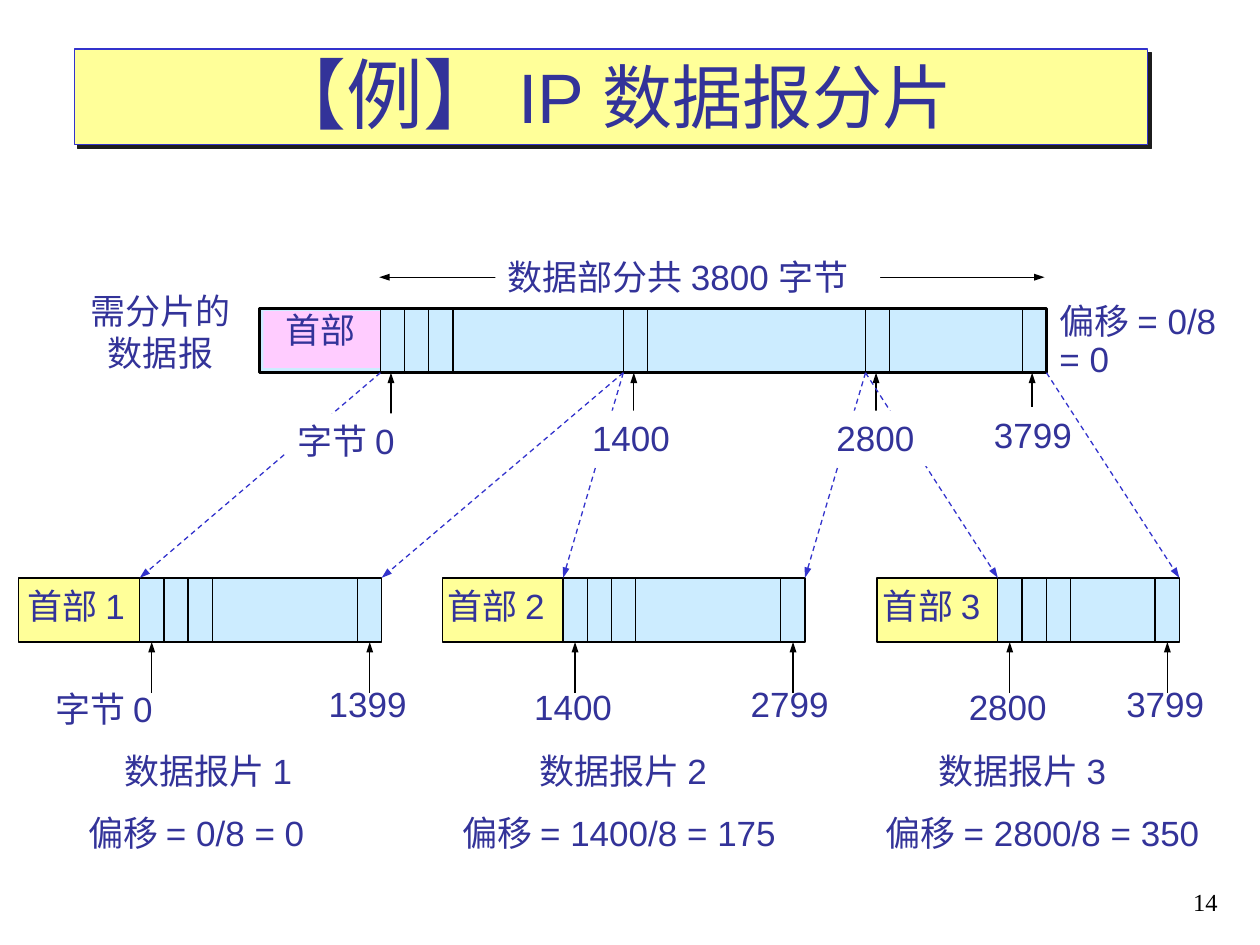
from dataclasses import dataclass

from lxml import etree
from pptx import Presentation
from pptx.dml.color import RGBColor
from pptx.enum.dml import MSO_LINE
from pptx.enum.shapes import MSO_CONNECTOR, MSO_SHAPE
from pptx.enum.text import MSO_ANCHOR, MSO_AUTO_SIZE, PP_ALIGN
from pptx.oxml.ns import qn
from pptx.util import Pt

STRAIGHT = MSO_CONNECTOR.STRAIGHT
RECTANGLE = MSO_SHAPE.RECTANGLE
DASH = MSO_LINE.DASH
BOTTOM = MSO_ANCHOR.BOTTOM
FIT_SHAPE = MSO_AUTO_SIZE.SHAPE_TO_FIT_TEXT
LEFT, CENTER, RIGHT = PP_ALIGN.LEFT, PP_ALIGN.CENTER, PP_ALIGN.RIGHT


@dataclass(frozen=True)
class Theme:
    ink: str = "333399"
    black: str = "000000"
    white: str = "FFFFFF"
    accent: str = "3333CC"
    data: str = "CCECFF"
    header: str = "FFFF99"
    original_header: str = "FFCCFF"
    shadow: str = "1C1C1C"
    font: str = "Arial"
    number_font: str = "Times New Roman"
    body_size: int = 20
    title_size: int = 40
    bracket_size: int = 44
    number_size: int = 14
    thin: float = 0.75
    thick: float = 1.5


@dataclass(frozen=True)
class Label:
    text: str
    left: float
    top: float
    width: float
    height: float = 31.7
    fill: str | None = None
    align: PP_ALIGN = LEFT
    last_line_spacing: float | None = None


@dataclass(frozen=True)
class Fragment:
    number: int
    left: float
    width: float
    source_start: float
    source_end: float
    header_label: Label
    labels: tuple[Label, ...]


THEME = Theme()
CELL = 13.8
HALF_CELL = 6.8
HEADER_WIDTH = 69.1
BAR_HEIGHT = 36.7
ORIGINAL_TOP = 176.3
ORIGINAL_BOTTOM = ORIGINAL_TOP + BAR_HEIGHT
FRAGMENT_TOP = 330.2
FRAGMENT_BOTTOM = FRAGMENT_TOP + BAR_HEIGHT
ORIGINAL_LEFT = 148.3
DATA_START, FIRST_CUT, SECOND_CUT, DATA_END = 217.4, 356.2, 494.6, 598
NUMBER_WIDTH = 60
WIDE_WIDTH = 77
PIECE_WIDTH = 120
OFFSET_WIDTH = 201
OFFSET_TOP = 460.1
PIECE_TOP = 424.8

FRAGMENTS = (
    Fragment(1, 79.9, 138.2, DATA_START, FIRST_CUT, Label("首部 1", 8.6, FRAGMENT_TOP, WIDE_WIDTH), (
        Label("字节 0", 24.5, 389.5, WIDE_WIDTH),
        Label("1399", 180.7, 386.6, NUMBER_WIDTH),
        Label("数据报片 1", 64.1, PIECE_TOP, PIECE_WIDTH),
        Label("偏移 = 0/8 = 0", 43.2, OFFSET_TOP, 145))),
    Fragment(2, 321.8, 138.2, FIRST_CUT, SECOND_CUT, Label("首部 2", 248.4, FRAGMENT_TOP, WIDE_WIDTH), (
        Label("1400", 298.1, 388.1, NUMBER_WIDTH),
        Label("2799", 421.9, 386.6, NUMBER_WIDTH),
        Label("数据报片 2", 301, PIECE_TOP, PIECE_WIDTH),
        Label("偏移 = 1400/8 = 175", 257, OFFSET_TOP, OFFSET_WIDTH))),
    Fragment(3, 570.2, 103.7, SECOND_CUT, DATA_END, Label("首部 3", 497.5, FRAGMENT_TOP, WIDE_WIDTH), (
        Label("2800", 546.5, 388.1, NUMBER_WIDTH),
        Label("3799", 636.5, 386.6, NUMBER_WIDTH),
        Label("数据报片 3", 529.2, PIECE_TOP, PIECE_WIDTH),
        Label("偏移 = 2800/8 = 350", 499, OFFSET_TOP, OFFSET_WIDTH))),
)
LAST_BYTE_LABEL = Label("3799", 560.9, 232.6, NUMBER_WIDTH, fill=THEME.white)
ORIGINAL_LABELS = (
    Label("需分片的\n数据报", 43.6, 162, 96.3, 55.4, align=CENTER),
    Label("首部", 156.2, 172.8, 58),
    Label("偏移 = 0/8\n= 0", 598.3, 167.8, 111, 53.3, last_line_spacing=0.9),
    Label("数据部分共 3800 字节", 283, 142.6, 220, fill=THEME.white),
    Label("字节 0", 162.7, 236.2, WIDE_WIDTH, fill=THEME.white),
    Label("1400", 331.2, 234.7, NUMBER_WIDTH, fill=THEME.white),
    Label("2800", 470.9, 234.7, NUMBER_WIDTH, fill=THEME.white),
)


def color(value: str) -> RGBColor:
    return RGBColor.from_string(value)


def style_font(font, size: float, name: str = THEME.font, ink: str = THEME.ink) -> None:
    font.size, font.name = Pt(size), name
    font.color.rgb = color(ink)


def draw_box(slide, left: float, top: float, width: float, height: float,
             fill: str, line: str | None = THEME.black, weight: float = THEME.thin):
    shape = slide.shapes.add_shape(RECTANGLE, Pt(left), Pt(top), Pt(width), Pt(height))
    shape.shadow.inherit = False
    shape.fill.solid()
    shape.fill.fore_color.rgb = color(fill)
    if line is None:
        shape.line.fill.background()
    else:
        shape.line.color.rgb = color(line)
        shape.line.width = Pt(weight)
    return shape


def draw_line(slide, start: tuple[float, float], end: tuple[float, float],
              ink: str = THEME.black, dashed: bool = False, arrows: tuple[str, ...] = ()) -> None:
    connector = slide.shapes.add_connector(STRAIGHT, *map(Pt, start + end))
    connector.line.color.rgb = color(ink)
    connector.line.width = Pt(THEME.thin)
    if dashed:
        connector.line.dash_style = DASH
    outline = connector.line._get_or_add_ln()
    for arrow in arrows:
        etree.SubElement(outline, qn(f"a:{arrow}"), type="triangle", w="sm", len="med")
    etree.SubElement(connector._element.spPr, qn("a:effectLst"))


def draw_dividers(slide, positions: tuple[float, ...], top: float) -> None:
    for x in positions:
        draw_line(slide, (x, top), (x, top + BAR_HEIGHT))


def draw_pointer(slide, x: float, bar_bottom: float) -> None:
    draw_line(slide, (x, bar_bottom + 29.2), (x, bar_bottom), arrows=("tailEnd",))


def draw_label(slide, label: Label) -> None:
    shape = slide.shapes.add_textbox(Pt(label.left), Pt(label.top), Pt(label.width), Pt(label.height))
    if label.fill:
        shape.fill.solid()
        shape.fill.fore_color.rgb = color(label.fill)
    frame = shape.text_frame
    frame.text = label.text
    frame.word_wrap = False
    frame.auto_size = FIT_SHAPE
    for paragraph in frame.paragraphs:
        paragraph.alignment = label.align
        style_font(paragraph.font, THEME.body_size)
    if label.last_line_spacing:
        frame.paragraphs[-1].line_spacing = label.last_line_spacing


def draw_original(slide) -> None:
    draw_box(slide, ORIGINAL_LEFT, ORIGINAL_TOP, DATA_END - ORIGINAL_LEFT, BAR_HEIGHT,
             THEME.data, weight=THEME.thick)
    draw_box(slide, 150.5, 177.8, 67, 32.4, THEME.original_header, line=None)
    starts = (DATA_START, FIRST_CUT, SECOND_CUT)
    cells = tuple(DATA_START + CELL * step for step in (2, 3))
    edges = tuple(x + offset for x in starts for offset in (0, CELL))
    draw_dividers(slide, edges + cells + (DATA_END - CELL,), ORIGINAL_TOP)
    for x in (*(start + 6 for start in starts), DATA_END - 8.2):
        draw_pointer(slide, x, ORIGINAL_BOTTOM)
    draw_label(slide, LAST_BYTE_LABEL)
    draw_line(slide, (216.7, 158.4), (596.9, 158.4), arrows=("headEnd", "tailEnd"))


def draw_fragment(slide, fragment: Fragment) -> None:
    left, right = fragment.left, fragment.left + fragment.width
    draw_box(slide, left, FRAGMENT_TOP, fragment.width, BAR_HEIGHT, THEME.data)
    draw_box(slide, left - HEADER_WIDTH, FRAGMENT_TOP, HEADER_WIDTH, BAR_HEIGHT, THEME.header)
    cells = tuple(left + CELL * step for step in (1, 2, 3))
    draw_dividers(slide, cells + (right - CELL,), FRAGMENT_TOP)
    for x in (left + HALF_CELL, right - HALF_CELL):
        draw_pointer(slide, x, FRAGMENT_BOTTOM)
    for source, target in ((fragment.source_start, left), (fragment.source_end, right)):
        draw_line(slide, (source, ORIGINAL_BOTTOM), (target, FRAGMENT_TOP),
                  THEME.accent, dashed=True, arrows=("tailEnd",))
    for label in (fragment.header_label, *fragment.labels):
        draw_label(slide, label)


def draw_title(slide) -> None:
    shape = draw_box(slide, 42.5, 28.1, 613.4, 54.7, THEME.header, THEME.accent)
    effects = shape._element.spPr.find(qn("a:effectLst"))
    shadow = etree.SubElement(effects, qn("a:outerShdw"), dist=str(Pt(2.8)), dir="2700000")
    etree.SubElement(shadow, qn("a:srgbClr"), val=THEME.shadow)
    shape.text_frame.vertical_anchor = BOTTOM
    paragraph = shape.text_frame.paragraphs[0]
    paragraph.alignment = CENTER
    for text, size in (("【例】 ", THEME.bracket_size), ("IP 数据报分片", THEME.title_size)):
        run = paragraph.add_run()
        run.text = text
        style_font(run.font, size)


def draw_slide_number(slide) -> None:
    shape = slide.shapes.add_textbox(Pt(553), Pt(491), Pt(149.8), Pt(36))
    frame = shape.text_frame
    frame.word_wrap = True
    frame.vertical_anchor = BOTTOM
    paragraph = frame.paragraphs[0]
    paragraph.text = "14"
    paragraph.alignment = RIGHT
    style_font(paragraph.font, THEME.number_size, THEME.number_font, THEME.black)


def main() -> None:
    presentation = Presentation()
    presentation.slide_width, presentation.slide_height = Pt(720), Pt(540)
    slide = presentation.slides.add_slide(presentation.slide_layouts[6])
    draw_original(slide)
    for fragment in FRAGMENTS:
        draw_fragment(slide, fragment)
    for label in ORIGINAL_LABELS:
        draw_label(slide, label)
    draw_title(slide)
    draw_slide_number(slide)
    presentation.save("out.pptx")


if __name__ == "__main__":
    main()
